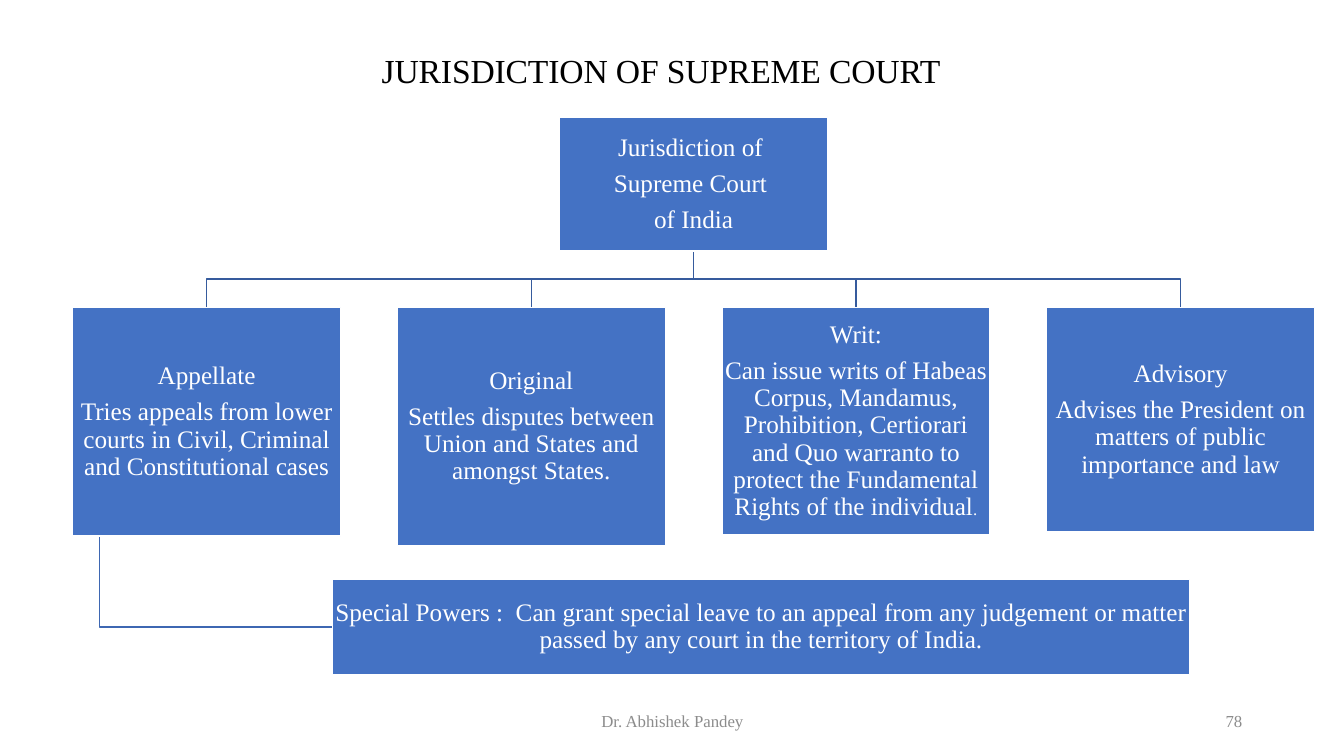
from dataclasses import dataclass

import pptx
import pptx.dml.color
import pptx.enum.shapes
import pptx.enum.text
import pptx.util

Inches = pptx.util.Inches
Pt = pptx.util.Pt
ALIGN = pptx.enum.text.PP_ALIGN
MIDDLE = pptx.enum.text.MSO_ANCHOR.MIDDLE
FONT = "Times New Roman"
BLUE, WHITE, GREY = "4472C4", "FFFFFF", "8C8C8C"
BRANCH, BEND = "365B9D", "3E67B2"


@dataclass
class Box:
    left: float
    top: float
    width: float
    height: float
    lines: list[str]
    tail: str = ""  # small closing mark

    @property
    def mid(self) -> float:
        return self.left + self.width / 2

    @property
    def base(self) -> float:
        return self.top + self.height


def paint(part, color: str) -> None:
    """Set a solid fill, line fill or font fill."""
    part.solid()
    part.fore_color.rgb = pptx.dml.color.RGBColor.from_string(color)


def style(font, size: float, color: str) -> None:
    font.name = FONT
    font.size = Pt(size)
    paint(font.fill, color)


def draw_box(slide, box: Box) -> None:
    shape = slide.shapes.add_shape(
        pptx.enum.shapes.MSO_SHAPE.RECTANGLE,
        Inches(box.left), Inches(box.top), Inches(box.width), Inches(box.height))
    shape.shadow.inherit = False
    paint(shape.fill, BLUE)
    paint(shape.line.fill, WHITE)
    shape.line.width = Pt(1)
    frame = shape.text_frame
    frame.word_wrap = True
    frame.vertical_anchor = MIDDLE
    frame.margin_left = frame.margin_right = Inches(0.01)
    frame.margin_top = frame.margin_bottom = Inches(0.01)
    frame.text = "\n".join(box.lines)
    for para in frame.paragraphs:
        para.alignment = ALIGN.CENTER
        para.line_spacing = 0.9
        para.space_after = Pt(6.3)
        style(para.runs[0].font, 18, WHITE)
    if box.tail:
        run = frame.paragraphs[-1].add_run()
        run.text = box.tail
        style(run.font, 12, WHITE)


def draw_bend(slide, points: list[tuple[float, float]], color: str) -> None:
    """Draw an open line with square corners through the points."""
    spots = [(Inches(x), Inches(y)) for x, y in points]
    pen = slide.shapes.build_freeform(*spots[0])
    pen.add_line_segments(spots[1:], close=False)
    bend = pen.convert_to_shape()
    bend.shadow.inherit = False
    bend.fill.background()
    paint(bend.line.fill, color)
    bend.line.width = Pt(1)


def draw_note(slide, left: float, width: float, text: str, align) -> None:
    note = slide.shapes.add_textbox(
        Inches(left), Inches(6.95), Inches(width), Inches(0.4))
    frame = note.text_frame
    frame.word_wrap = True
    frame.vertical_anchor = MIDDLE
    frame.text = text
    frame.paragraphs[0].alignment = align
    style(frame.paragraphs[0].runs[0].font, 12, GREY)


def draw_title(slide, text: str) -> None:
    title = slide.shapes.title
    title.left, title.top = Inches(1.58), Inches(0.48)
    title.width, title.height = Inches(9.94), Inches(0.42)
    frame = title.text_frame
    frame.margin_left = frame.margin_top = Inches(0.01)
    frame.margin_right = frame.margin_bottom = 0
    frame.vertical_anchor = MIDDLE
    frame.auto_size = pptx.enum.text.MSO_AUTO_SIZE.NONE
    frame.text = text
    frame.paragraphs[0].alignment = ALIGN.CENTER
    run = frame.paragraphs[0].runs[0]
    style(run.font, 24, "000000")
    run._r.get_or_add_rPr().set("spc", "-10")


# Chart content
WIDE, STEP, LEFT, ROW = 2.66, 3.22, 0.72, 3.05
COURT = Box(5.55, 1.16, WIDE, 1.33,
            ["Jurisdiction of ", "Supreme Court ", "of India"])
KINDS = [
    (2.27, ["Appellate", "Tries appeals from lower courts in Civil, Criminal "
            "and Constitutional cases"], ""),
    (2.36, ["Original", "Settles disputes between Union and States and "
            "amongst States."], ""),
    (2.26, ["Writ:", "Can issue writs of Habeas Corpus, Mandamus, Prohibition, "
            "Certiorari and Quo warranto to protect the Fundamental Rights of "
            "the individual"], "."),
    (2.23, ["Advisory", "Advises the President on matters of public importance "
            "and law"], ""),
]
POWERS = Box(3.3, 5.75, 8.5, 0.94, [
    "Special Powers :  Can grant special leave to an appeal from any judgement "
    "or matter passed by any court in the territory of India."])


def main() -> None:
    deck = pptx.Presentation()
    deck.slide_width, deck.slide_height = Inches(13.33), Inches(7.5)
    slide = deck.slides.add_slide(deck.slide_layouts[5])

    # Title and footer
    draw_title(slide, "JURISDICTION OF SUPREME COURT")
    draw_note(slide, 4.42, 4.5, "Dr. Abhishek Pandey", ALIGN.CENTER)
    draw_note(slide, 9.42, 3, "78", ALIGN.RIGHT)

    # Branches from the court to its four kinds
    boxes = [Box(LEFT + i * STEP, ROW, WIDE, tall, lines, tail)
             for i, (tall, lines, tail) in enumerate(KINDS)]
    rail = (COURT.base + ROW) / 2
    for box in boxes:
        draw_bend(slide, [(COURT.mid, COURT.base), (COURT.mid, rail),
                          (box.mid, rail), (box.mid, ROW)], BRANCH)

    # Bend from the appellate box to its special powers
    side = LEFT + WIDE / 10
    level = POWERS.top + POWERS.height / 2
    draw_bend(slide, [(side, boxes[0].base), (side, level),
                      (POWERS.left, level)], BEND)

    # Boxes
    for box in [COURT, *boxes, POWERS]:
        draw_box(slide, box)

    deck.save("out.pptx")


if __name__ == "__main__":
    main()
